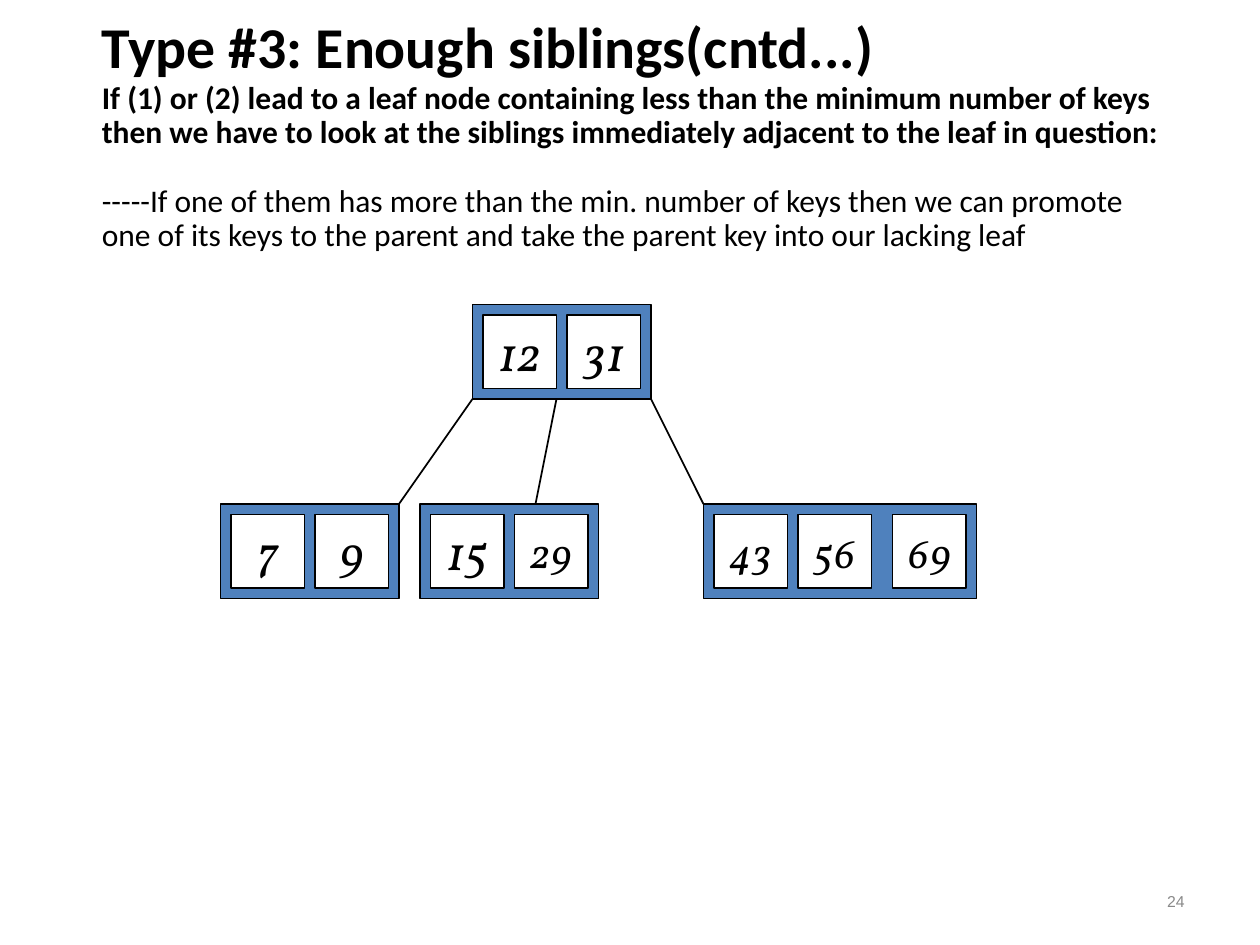
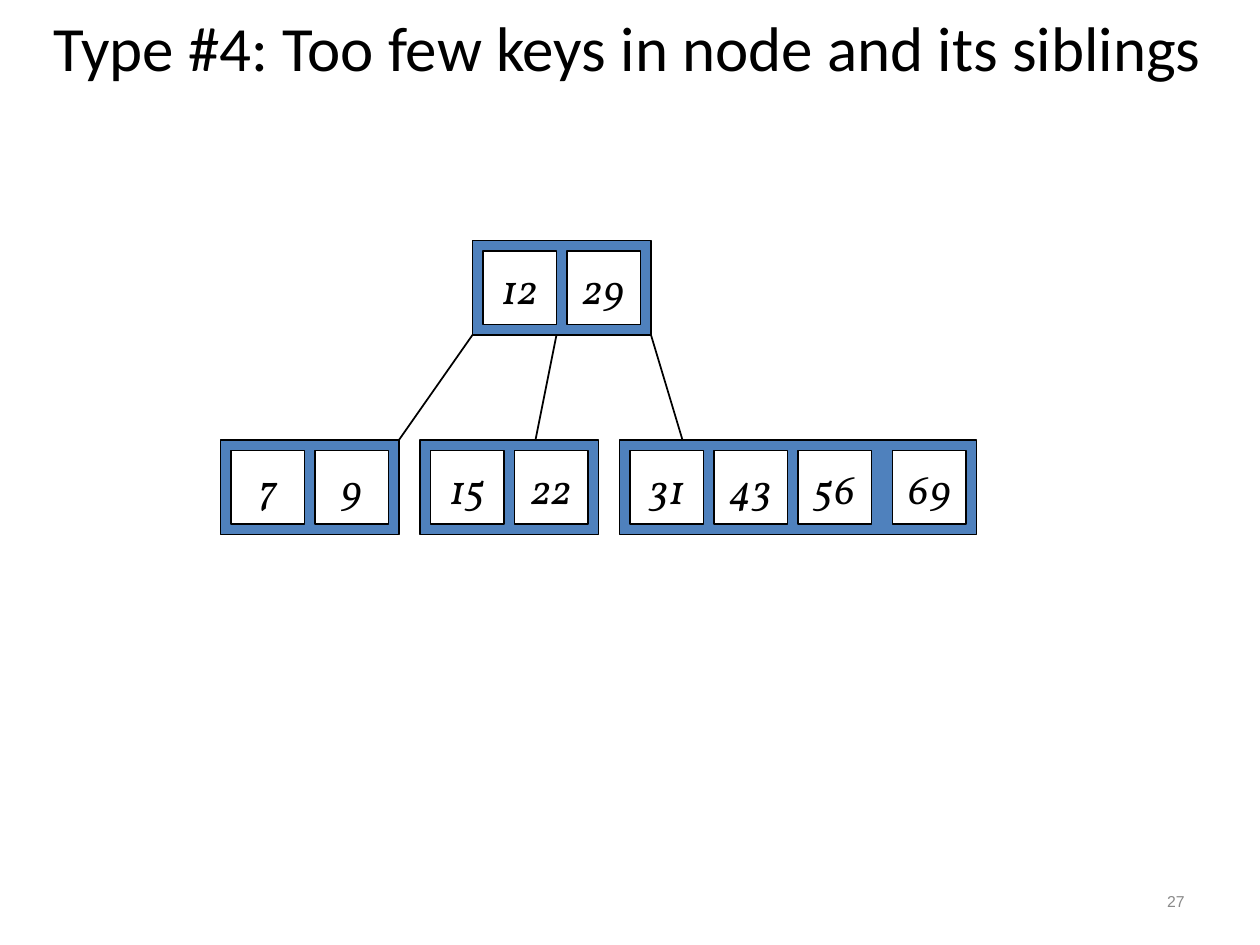
"""Build two slides that show key deletion in a B-tree."""
from lxml.etree import SubElement as Sub
from pptx import Presentation
from pptx.dml.color import RGBColor
from pptx.enum.shapes import MSO_CONNECTOR as Link, MSO_SHAPE as Shape
from pptx.enum.text import MSO_ANCHOR as Anchor, MSO_AUTO_SIZE as Fit, PP_ALIGN as Align
from pptx.oxml.ns import qn
from pptx.util import Inches, Pt

deck = Presentation()
deck.slide_width, deck.slide_height = Inches(10), Inches(7.5)
UNIT = deck.slide_width / 120
CELL, PITCH, NODE, DROP = 7, 8, 9, 19
BLACK, WHITE, BLUE, GREY = "000000", "FFFFFF", "4F81BD", "898989"


def grid(*spans):
    return [round(span * UNIT) for span in spans]


def style(para, size, color=BLACK, face="Calibri", align=Align.LEFT, bold=False, slant=False):
    font = para.font
    font.size, font.name, font.bold, font.italic = Pt(size), face, bold, slant
    font.color.rgb = RGBColor.from_string(color)
    para.alignment = align


pages = [
    {
        "title": "Type #3: Enough siblings(cntd...)",
        "place": (8.5, 1.2, 103.5, 7.2),
        "look": dict(size=33, bold=True),
        "lead": 0.9,
        "body": [
            "If (1) or (2) lead to a leaf node containing less than the minimum number of keys "
            "then we have to look at the siblings immediately adjacent to the leaf in question:",
            "-----If one of them has more than the min. number of keys then we can promote "
            "one of its keys to the parent and take the parent key into our lacking leaf",
        ],
        "number": "24",
        "top": 29,
        "leaves": [(21, "7 9"), (40, "15 29"), (67, "43 56 69")],
        "root": "12 31",
        "ends": (38, 51, 67),
        "large": "12 31 7 9 15".split(),
    },
    {
        "title": "Type #4: Too few keys in node and its siblings",
        "place": (0, 0.2, 119.5, 8.4),
        "look": dict(size=36, align=Align.CENTER),
        "lead": 1.0,
        "body": [],
        "number": "27",
        "top": 22.9,
        "leaves": [(21, "7 9"), (40, "15 22"), (59, "31 43 56 69")],
        "root": "12 29",
        "ends": (38, 51, 65),
        "large": [],
    },
]

for page in pages:
    slide = deck.slides.add_slide(deck.slide_layouts[1 if page["body"] else 5])

    title = slide.shapes.title
    title.left, title.top, title.width, title.height = grid(*page["place"])
    frame = title.text_frame
    frame.text = page["title"]
    frame.auto_size, frame.vertical_anchor = Fit.NONE, Anchor.TOP
    frame.paragraphs[0].line_spacing = page["lead"]
    style(frame.paragraphs[0], **page["look"])

    if page["body"]:
        body = slide.placeholders[1]
        body.left, body.top, body.width, body.height = grid(8.5, 7.2, 103.5, 18)
        frame = body.text_frame
        frame.text = "\n".join(page["body"])
        frame.auto_size, frame.vertical_anchor = Fit.NONE, Anchor.TOP
        for rank, para in enumerate(frame.paragraphs):
            props = para._p.get_or_add_pPr()
            props.set("marL", "0")
            props.set("indent", "0")
            Sub(props, qn("a:buNone"))
            para.line_spacing, para.space_before = 0.9, Pt(20 * rank)
            style(para, 18, bold=rank == 0)

    foot = slide.shapes.add_textbox(*grid(86, 83.4, 28, 4.8)).text_frame
    foot.text, foot.word_wrap, foot.vertical_anchor = page["number"], True, Anchor.MIDDLE
    style(foot.paragraphs[0], 9, GREY, "Arial", Align.RIGHT)

    top = page["top"]
    nodes = [(45, top, page["root"])]
    nodes += [(left, top + DROP, keys) for left, keys in page["leaves"]]
    for left, row, text in nodes:
        keys = text.split()
        extra = int(len(keys) > 2)
        boxes = [(left, row, PITCH * len(keys) + 1 + extra, NODE, BLUE, "")]
        for col, key in enumerate(keys):
            shift = extra if col == len(keys) - 1 else 0
            boxes.append((left + 1 + PITCH * col + shift, row + 1, CELL, CELL, WHITE, key))
        for x, y, wide, high, fill, key in boxes:
            box = slide.shapes.add_shape(Shape.RECTANGLE, *grid(x, y, wide, high))
            box.shadow.inherit = False
            box.fill.solid()
            box.fill.fore_color.rgb = RGBColor.from_string(fill)
            box.line.color.rgb = RGBColor.from_string(BLACK)
            box.line.width = Pt(1)
            if key:
                frame = box.text_frame
                frame.text, frame.word_wrap = key, False
                frame.vertical_anchor = Anchor.MIDDLE
                size = 28 if key in page["large"] else 24
                style(frame.paragraphs[0], size, face="Vollkorn", align=Align.CENTER, slant=True)

    for start, end in zip((45, 53, 62), page["ends"]):
        edge = slide.shapes.add_connector(Link.STRAIGHT, *grid(start, top + NODE, end, top + DROP))
        edge.line.color.rgb = RGBColor.from_string(BLACK)
        edge.line.width = Pt(1)
        Sub(edge._element.spPr, qn("a:effectLst"))

deck.save("out.pptx")
